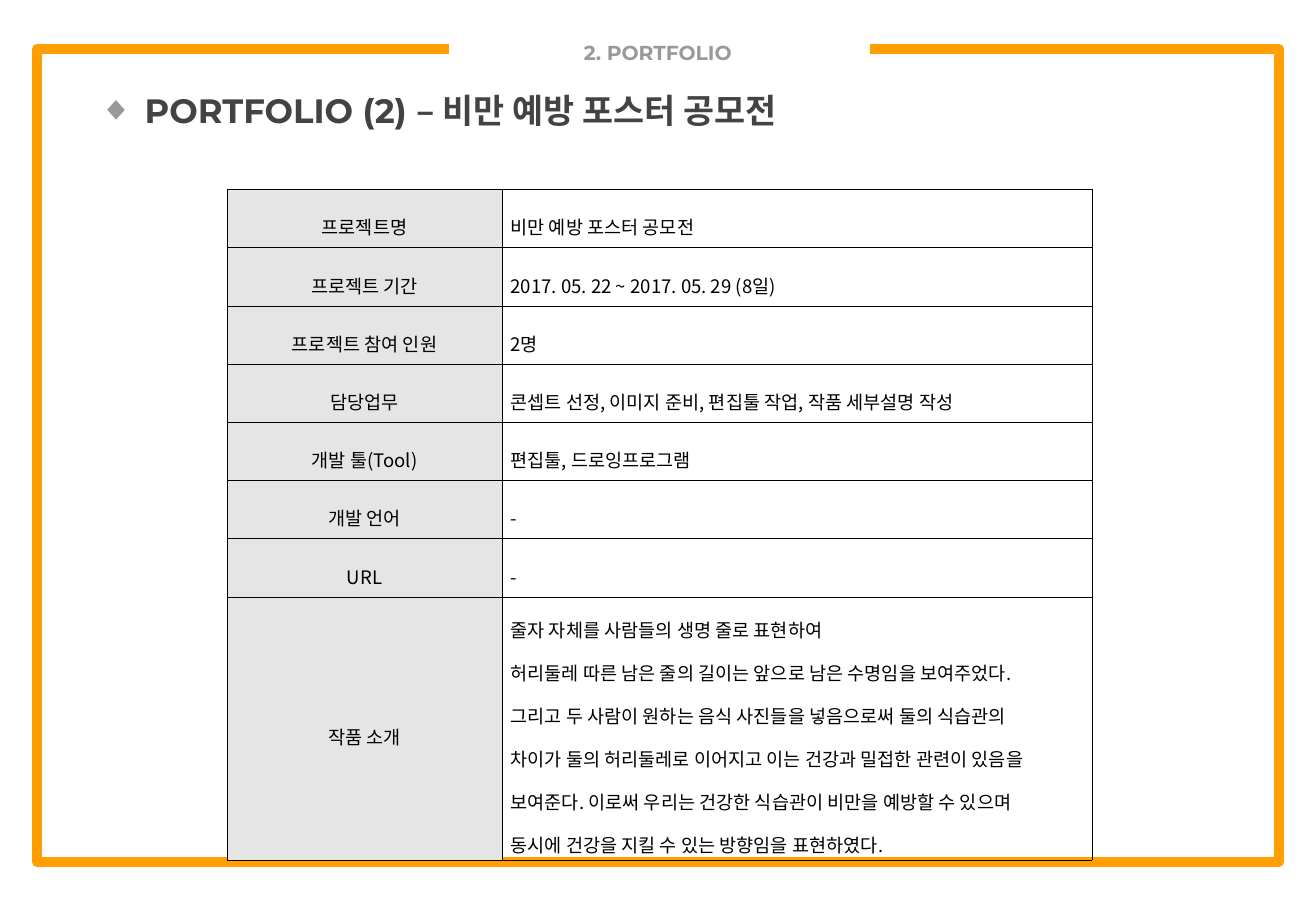
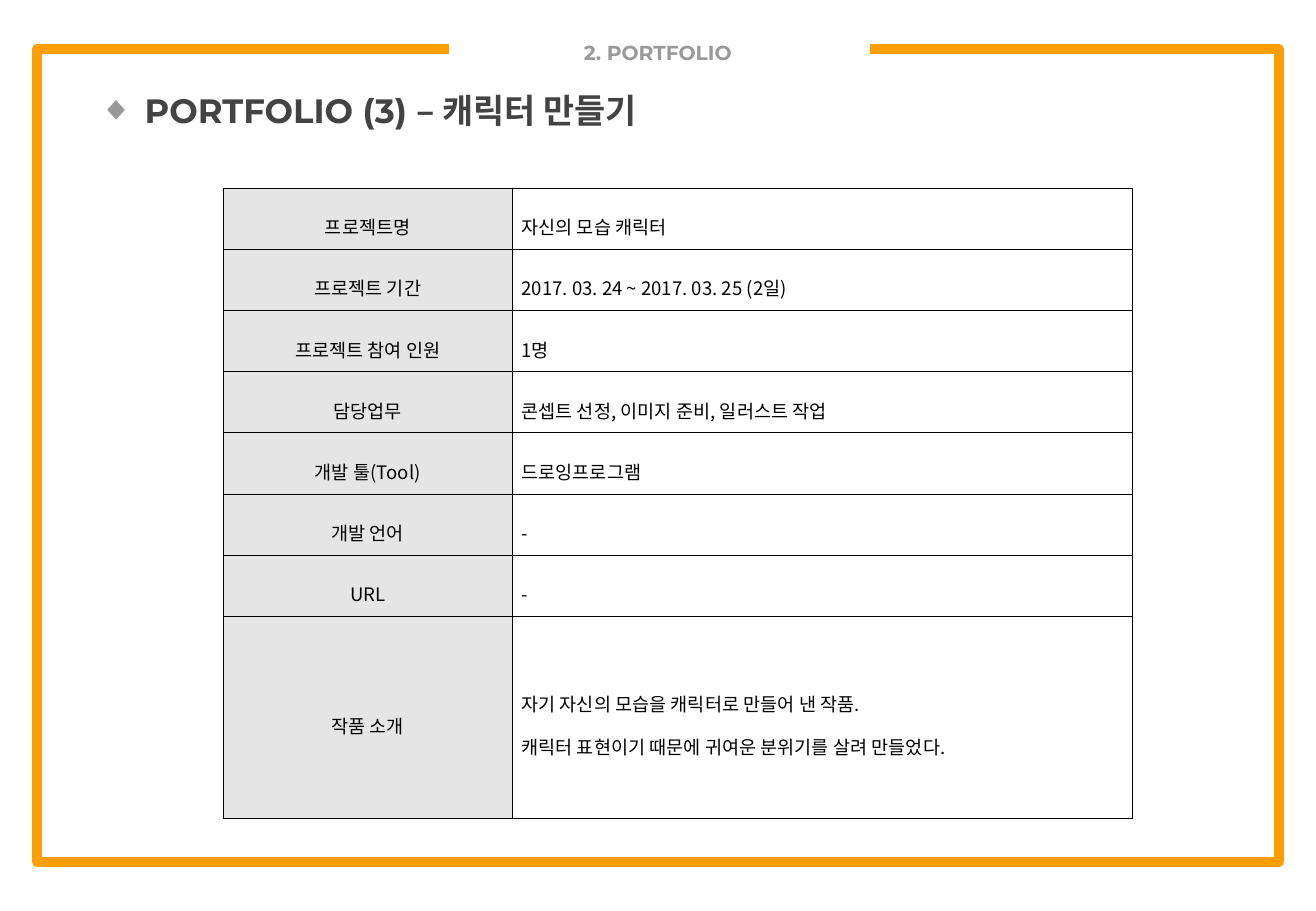
from lxml.etree import SubElement, Element
from pptx import Presentation
from pptx.dml.color import RGBColor
from pptx.enum.text import MSO_ANCHOR, MSO_AUTO_SIZE, PP_ALIGN
from pptx.oxml.ns import qn
from pptx.util import Pt

ARIAL, NOTO, MONT = "Arial", "Noto Sans CJK KR", "Montserrat"
ORANGE, GRAY, DARK, BLACK, LABEL = "FF9E00", "999999", "434343", "000000", "E5E5E5"


def rgb(value):
    return RGBColor.from_string(value)


class Deck:
    def __init__(self):
        self.prs = Presentation()
        self.prs.slide_width, self.prs.slide_height = Pt(780), Pt(540)
        self.s = None

    def run(self, p, text, font, size, color, bold=False):
        r = p.add_run()
        r.text = text
        f = r.font
        f.name, f.size, f.bold = font, Pt(size), bold
        f.color.rgb = rgb(color)
        SubElement(r._r.get_or_add_rPr(), qn("a:ea"), typeface=NOTO)

    def slide(self):
        self.s = self.prs.slides.add_slide(self.prs.slide_layouts[1])
        self.frame()

    def frame(self):
        fb = self.s.shapes.build_freeform(265.7, 28.8, scale=12700.0)
        fb.add_line_segments(
            [(22.5, 28.8), (22.5, 511.2), (758.2, 511.2), (758.2, 28.8), (515.5, 28.8)],
            close=False)
        sp = fb.convert_to_shape()
        sp.shadow.inherit = False
        sp.fill.background()
        sp.line.color.rgb = rgb(ORANGE)
        sp.line.width = Pt(6)

    def place(self, sp, left, top, width, height):
        sp.left, sp.top, sp.width, sp.height = Pt(left), Pt(top), Pt(width), Pt(height)
        tf = sp.text_frame
        tf.word_wrap = True
        tf.auto_size = MSO_AUTO_SIZE.NONE
        tf.vertical_anchor = MSO_ANCHOR.TOP
        tf.margin_left = tf.margin_right = tf.margin_top = tf.margin_bottom = Pt(9)
        p = tf.paragraphs[0]
        p.space_before = Pt(0)
        return p

    def title(self, text):
        p = self.place(self.s.shapes.title, 276.5, 15.1, 226.8, 33.8)
        p.alignment = PP_ALIGN.CENTER
        self.run(p, text, MONT, 12, GRAY, True)

    def heading(self, number, name):
        p = self.place(self.s.placeholders[1], 49.7, 43.2, 572.4, 33.8)
        pPr = p._p.get_or_add_pPr()
        pPr.set("marL", str(Pt(27)))
        pPr.set("indent", str(Pt(-27)))
        SubElement(SubElement(pPr, qn("a:buClr")), qn("a:srgbClr"), val=GRAY)
        SubElement(pPr, qn("a:buChar"), char="◆")
        p.line_spacing = Pt(25)
        self.run(p, f"PORTFOLIO ({number}) ", MONT, 20, DARK, True)
        self.run(p, f"– {name}", NOTO, 20, DARK, True)

    def border(self, cell):
        tcPr = cell._tc.get_or_add_tcPr()
        for i, side in enumerate(("lnL", "lnR", "lnT", "lnB")):
            ln = Element(qn(f"a:{side}"), w=str(Pt(0.28)))
            fill = SubElement(ln, qn("a:solidFill"))
            SubElement(fill, qn("a:srgbClr"), val=BLACK)
            tcPr.insert(i, ln)

    def cell(self, cell, paragraphs, align, fill, inset):
        cell.vertical_anchor = MSO_ANCHOR.MIDDLE
        cell.margin_left = cell.margin_right = Pt(inset)
        cell.margin_top = cell.margin_bottom = Pt(1.4)
        if fill:
            cell.fill.solid()
            cell.fill.fore_color.rgb = rgb(fill)
        else:
            cell.fill.background()
        self.border(cell)
        tf = cell.text_frame
        for i, runs in enumerate(paragraphs):
            p = tf.add_paragraph() if i else tf.paragraphs[0]
            p.alignment = align
            p.line_spacing = 1.6
            for font, text in runs:
                self.run(p, text, font, 11, BLACK)

    def table(self, left, top, widths, row, last, inset, values):
        heights = [row] * (len(LABELS) - 1) + [last]
        tbl = self.s.shapes.add_table(
            len(heights), 2, Pt(left), Pt(top), Pt(sum(widths)), Pt(sum(heights))).table
        tbl.first_row = tbl.horz_banding = False
        for col, width in zip(tbl.columns, widths):
            col.width = Pt(width)
        for i, (height, label, value) in enumerate(zip(heights, LABELS, values)):
            tbl.rows[i].height = Pt(height)
            self.cell(tbl.cell(i, 0), [label], PP_ALIGN.CENTER, LABEL, inset)
            paragraphs = [[(NOTO, value)]] if isinstance(value, str) else value
            self.cell(tbl.cell(i, 1), paragraphs, PP_ALIGN.JUSTIFY, None, inset)


LABELS = [
    [(ARIAL, "프로젝트명")],
    [(ARIAL, "프로젝트 기간")],
    [(ARIAL, "프로젝트 참여 인원")],
    [(ARIAL, "담당업무")],
    [(ARIAL, "개발 툴"), (NOTO, "(Tool)")],
    [(ARIAL, "개발 언어")],
    [(NOTO, "URL")],
    [(ARIAL, "작품 소개")],
]

POSTER = [
    "비만 예방 포스터 공모전",
    "2017. 05. 22 ~ 2017. 05. 29 (8일)",
    "2명",
    "콘셉트 선정, 이미지 준비, 편집툴 작업, 작품 세부설명 작성",
    "편집툴, 드로잉프로그램",
    "-",
    "-",
    [
        [(NOTO, "줄자 자체를 사람들의 생명 줄로 표현하여")],
        [(ARIAL, "허리둘레 따른 남은 줄의 길이는 앞으로 남은 수명임을 보여주었다"), (NOTO, ".")],
        [(ARIAL, "그리고 두 사람이 원하는 음식 사진들을 넣음으로써 둘의 식습관의")],
        [(ARIAL, "차이가 둘의 허리둘레로 이어지고 이는 건강과 밀접한 관련이 있음을")],
        [(ARIAL, "보여준다"), (NOTO, ". "),
         (ARIAL, "이로써 우리는 건강한 식습관이 비만을 예방할 수 있으며")],
        [(ARIAL, "동시에 건강을 지킬 수 있는 방향임을 표현하였다"), (NOTO, ".")],
    ],
]

CHARACTER = [
    "자신의 모습 캐릭터",
    "2017. 03. 24 ~ 2017. 03. 25 (2일)",
    "1명",
    "콘셉트 선정, 이미지 준비, 일러스트 작업",
    "드로잉프로그램",
    "-",
    "-",
    [
        [(NOTO, "자기 자신의 모습을 캐릭터로 만들어 낸 작품.")],
        [(ARIAL, "캐릭터 표현이기 때문에 귀여운 분위기를 살려 만들었다"), (NOTO, ".")],
    ],
]

PROJECTS = [
    (2, "비만 예방 포스터 공모전", (134.6, 112.3, (163, 349.7), 34.5, 126, 5, POSTER)),
    (3, "캐릭터 만들기", (132.3, 111.3, (171.4, 367.6), 36.3, 119.6, 5.4, CHARACTER)),
]


def main():
    deck = Deck()
    for number, name, table in PROJECTS:
        deck.slide()
        deck.table(*table)
        deck.title("2. PORTFOLIO")
        deck.heading(number, name)
    deck.prs.save("out.pptx")


if __name__ == "__main__":
    main()
